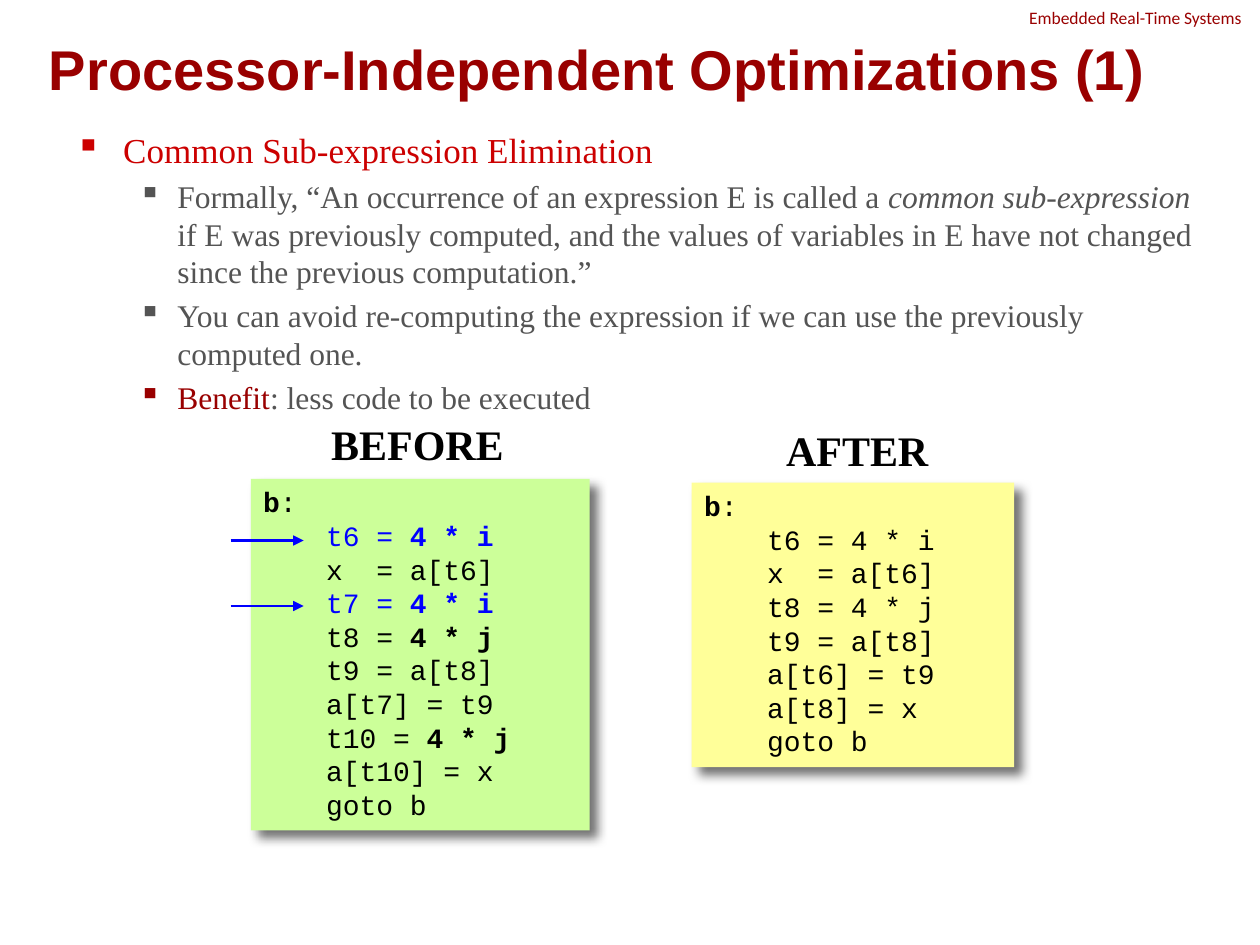
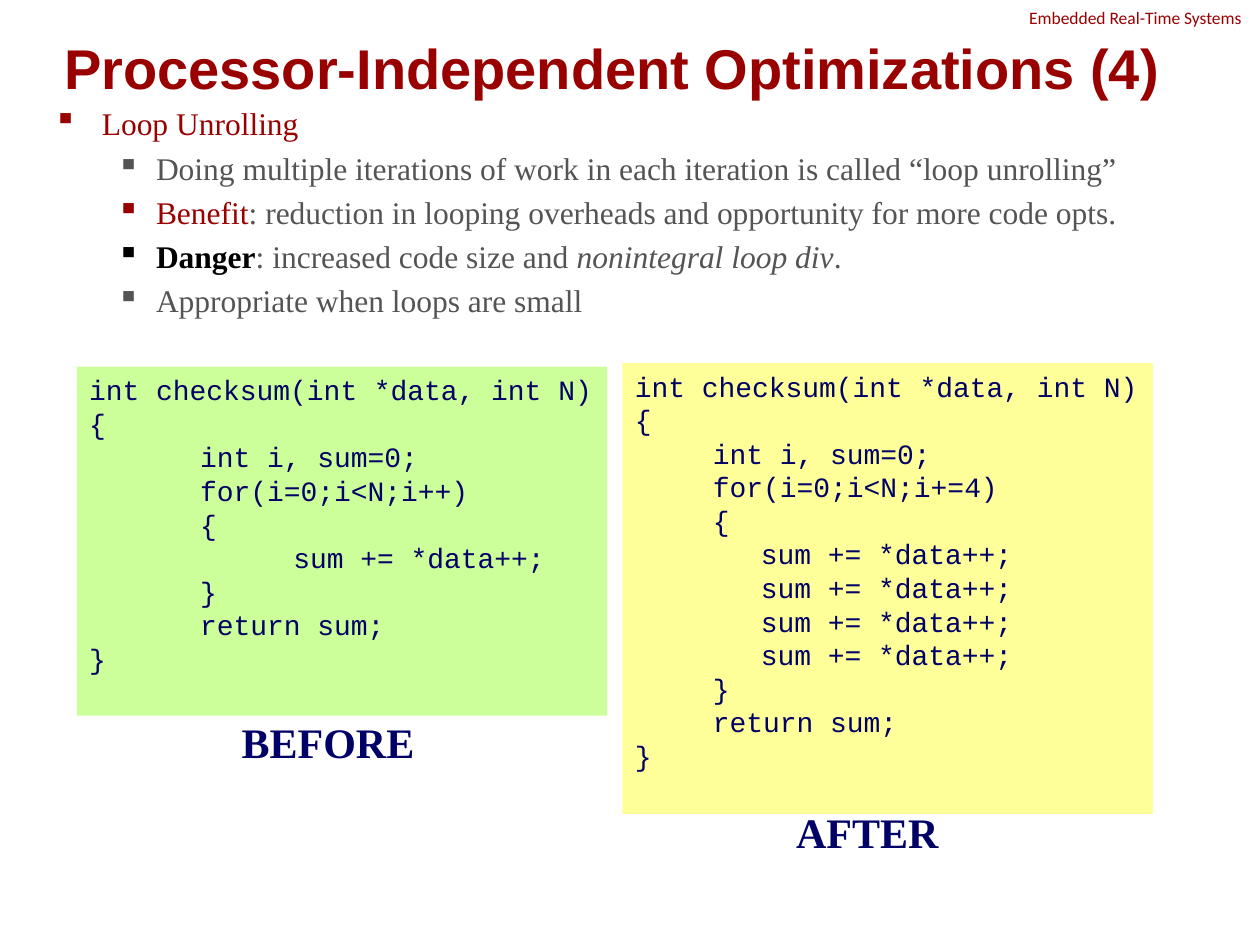
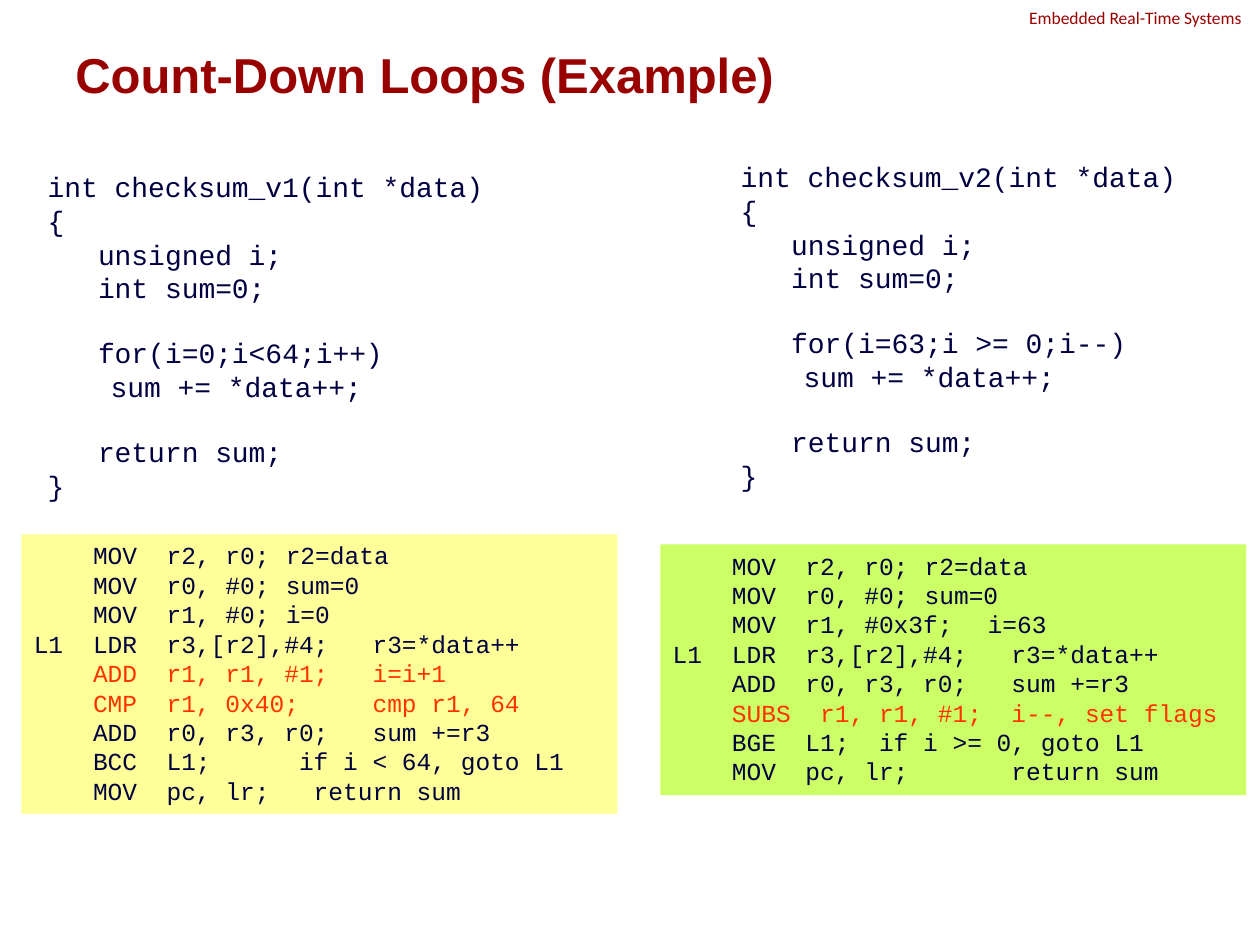
from lxml import etree
from pptx import Presentation, util as u
from pptx.dml.color import RGBColor
from pptx.enum import shapes, text
from pptx.oxml import ns

DARK_RED = RGBColor(0x99, 0x00, 0x00)
RED = RGBColor(0xCC, 0x00, 0x00)
ORANGE = RGBColor(0xFF, 0x33, 0x00)
GRAY = RGBColor(0x54, 0x54, 0x54)
BLACK = RGBColor(0x00, 0x00, 0x00)
BLUE = RGBColor(0x00, 0x00, 0xFF)
NAVY = RGBColor(0x00, 0x00, 0x66)
DARK_NAVY = RGBColor(0x00, 0x00, 0x40)
YELLOW = RGBColor(0xFF, 0xFF, 0x99)
GREEN = RGBColor(0xCC, 0xFF, 0x99)
LIME = RGBColor(0xCC, 0xFF, 0x66)

SERIF = "Times New Roman"
MONO = "Courier New"
MONO_LINE = 1.13


def add_element(parent, tag, **attributes):
    return etree.SubElement(parent, ns.qn(tag), attributes)


def add_text(slide, box, lines, font, size, color, bold=False, fill=None, tabs=()):
    left, top, width, height = [u.Inches(value) for value in box]
    if fill is None:
        shape = slide.shapes.add_textbox(left, top, width, height)
    else:
        shape = slide.shapes.add_shape(shapes.MSO_SHAPE.RECTANGLE, left, top, width, height)
        shape.shadow.inherit = False
        shape.fill.solid()
        shape.fill.fore_color.rgb = fill
        shape.line.fill.background()
    frame = shape.text_frame
    frame.word_wrap = True
    frame.margin_right = 0
    frame.vertical_anchor = text.MSO_ANCHOR.TOP
    paragraph = frame.paragraphs[0]
    blank_before = False
    for number, line in enumerate(lines):
        if not line:
            blank_before = True
            continue
        if number:
            paragraph = frame.add_paragraph()
        paragraph.alignment = text.PP_ALIGN.LEFT
        if blank_before:
            paragraph.space_before = u.Pt(size * MONO_LINE)
            blank_before = False
        if tabs:
            tab_list = add_element(paragraph._p.get_or_add_pPr(), "a:tabLst")
            for stop in tabs:
                add_element(tab_list, "a:tab", pos=str(u.Inches(stop)), algn="l")
        pieces = [(line, {})] if isinstance(line, str) else line
        for words, style in pieces:
            run = paragraph.add_run()
            run.text = words
            run.font.name = font
            run.font.size = u.Pt(style.get("size", size))
            run.font.color.rgb = style.get("color", color)
            run.font.bold = style.get("bold", bold)
            run.font.italic = style.get("italic", False)
    return shape


presentation = Presentation()
presentation.slide_width = u.Inches(10)
presentation.slide_height = u.Inches(7.5)

titles = [
    ("Processor-Independent Optimizations (1)", (0.29, 0.25, 9.92, 0.58), 32),
    ("Processor-Independent Optimizations (4)", (0.41, 0.24, 9.92, 0.58), 32),
    ("Count-Down Loops (Example)", (0.5, 0.3, 9, 0.58), 28),
]
slides = []
for title, box, size in titles:
    slide = presentation.slides.add_slide(presentation.slide_layouts[6])
    add_text(slide, (8.07, 0.01, 2.27, 0.27), ["Embedded Real-Time Systems"], "Calibri", 10, DARK_RED)
    heading = add_text(slide, box, [title], "Arial", size, DARK_RED, bold=True)
    heading.text_frame.vertical_anchor = text.MSO_ANCHOR.MIDDLE
    slides.append(slide)
elimination, unrolling, countdown = slides

bold = {"bold": True}
italic = {"italic": True}
benefit = ("Benefit", {"color": DARK_RED})
bullet_lists = [
    (elimination, (0.5, 0.97, 9, 5.52), [
        [("Common Sub-expression Elimination", {"size": 20, "color": RED})],
        [("Formally, “An occurrence of an expression E is called a ", {}),
         ("common sub-expression", italic),
         (" if E was previously computed, and the values of variables in E have "
          "not changed since the previous computation.”", {})],
        "You can avoid re-computing the expression if we can use the previously computed one.",
        [benefit, (": less code to be executed", {})],
    ]),
    (unrolling, (0.33, 0.75, 9.42, 6.75), [
        [("Loop Unrolling", {"color": DARK_RED}), (" ", {"size": 20})],
        "Doing multiple iterations of work in each iteration is called “loop unrolling”",
        [benefit, (": reduction in looping overheads and opportunity for more code opts.", {})],
        [("Danger", {"color": BLACK, "bold": True}), (": increased code size and ", {}),
         ("nonintegral loop div", italic), (".", {})],
        "Appropriate when loops are small",
    ]),
]
for slide, box, lines in bullet_lists:
    body = add_text(slide, box, lines, SERIF, 18, GRAY)
    for number, paragraph in enumerate(body.text_frame.paragraphs):
        margin, hanging = (0.81, 0.31) if number else (0.38, 0.38)
        paragraph.level = 1 if number else 0
        paragraph.space_before = u.Pt(3.6)
        properties = paragraph._p.get_or_add_pPr()
        properties.set("marL", str(u.Inches(margin)))
        properties.set("indent", str(-u.Inches(hanging)))
        add_element(properties, "a:buChar", char="▪")

blue = {"color": BLUE}
blue_bold = {"color": BLUE, "bold": True}
after_code = ["\tt6 = 4 * i", "\tx  = a[t6]", "\tt8 = 4 * j", "\tt9 = a[t8]",
              "\ta[t6] = t9", "\ta[t8] = x", "\tgoto b"]
before_code = [
    [("\tt6 = ", blue), ("4 * i", blue_bold)],
    "\tx  = a[t6]",
    [("\tt7 = ", blue), ("4 * i", blue_bold)],
    [("\tt8 = ", {}), ("4 * j", bold)],
    "\tt9 = a[t8]",
    "\ta[t7] = t9",
    [("\tt10 = ", {}), ("4 * j", bold)],
    "\ta[t10] = x",
    "\tgoto b",
]
block_label = [("b", bold), (":", {})]
for box, code, fill in [((5.49, 3.83, 2.56, 2.26), after_code, YELLOW),
                        ((1.99, 3.8, 2.69, 2.79), before_code, GREEN)]:
    panel = add_text(elimination, box, [block_label] + code, MONO, 16, BLACK, fill=fill, tabs=[0.5])
    effects = panel._element.spPr.find(ns.qn("a:effectLst"))
    shadow = add_element(effects, "a:outerShdw", blurRad=str(u.Pt(6)), dist=str(u.Pt(6)),
                         dir="2700000", algn="tl", rotWithShape="0")
    shadow_color = add_element(shadow, "a:srgbClr", val="000000")
    add_element(shadow_color, "a:alpha", val="55000")

for y in (4.29, 4.81):
    arrow = elimination.shapes.add_connector(
        shapes.MSO_CONNECTOR.STRAIGHT, u.Inches(1.83), u.Inches(y), u.Inches(2.41), u.Inches(y))
    arrow.line.color.rgb = BLUE
    arrow.line.width = u.Pt(1.5)
    add_element(arrow.line._get_or_add_ln(), "a:tailEnd", type="triangle")
    add_element(arrow._element.spPr, "a:effectLst")

function_start = ["int checksum(int *data, int N)", "{", "\tint i, sum=0;"]
function_end = ["\t}", "\treturn sum;", "}"]
sum_line = "\t\tsum += *data++;"
for box, loop, repeats, fill, tabs in [
    ((0.61, 2.91, 4.21, 2.77), "\tfor(i=0;i<N;i++)", 1, GREEN, [0.88, 1.62]),
    ((4.94, 2.88, 4.21, 3.58), "\tfor(i=0;i<N;i+=4)", 4, YELLOW, [0.62, 1]),
]:
    code = function_start + [loop, "\t{"] + [sum_line] * repeats + function_end
    add_text(unrolling, box, code, MONO, 16, NAVY, fill=fill, tabs=tabs)

for slide, caption, left, top, width, color in [
    (elimination, "BEFORE", 2.53, 3.27, 1.59, BLACK),
    (elimination, "AFTER", 6.14, 3.32, 1.35, BLACK),
    (unrolling, "BEFORE", 1.82, 5.64, 1.59, NAVY),
    (unrolling, "AFTER", 6.22, 6.35, 1.35, NAVY),
]:
    add_text(slide, (left, top, width, 0.51), [caption], SERIF, 24, color, bold=True)

for box, name, loop in [
    ((0.28, 1.3, 4.17, 2.77), "checksum_v1", "for(i=0;i<64;i++)"),
    ((5.78, 1.22, 3.68, 2.77), "checksum_v2", "for(i=63;i >= 0;i--)"),
]:
    code = [f"int {name}(int *data)", "{", "\tunsigned i;", "\tint sum=0;", "",
            f"\t{loop}", sum_line, "", "\treturn sum;", "}"]
    add_text(countdown, box, code, MONO, 16, DARK_NAVY, tabs=[0.4, 0.5])

orange = {"color": ORANGE}
assembly_start = ["\tMOV  r2, r0;\tr2=data", "\tMOV  r0, #0;\tsum=0"]
load_line = "L1\tLDR  r3,[r2],#4;   r3=*data++"
add_line = "\tADD  r0, r3, r0;   sum +=r3"
count_up = assembly_start + [
    "\tMOV  r1, #0;\ti=0",
    load_line,
    [("\tADD  r1, r1, #1;   i=i+1", orange)],
    [("\tCMP  r1, 0x40;     cmp r1, 64", orange)],
    add_line,
    "\tBCC  L1;      if i < 64, goto L1",
    "\tMOV  pc, lr;   return sum",
]
count_down = assembly_start + [
    "\tMOV  r1, #0x3f;\ti=63",
    load_line,
    add_line,
    [("\tSUBS  r1, r1, #1;  i--, set flags", orange)],
    "\tBGE  L1;  if i >= 0, goto L1",
    "\tMOV  pc, lr;       return sum",
]
for box, code, fill in [((0.17, 4.24, 4.73, 2.22), count_up, YELLOW),
                        ((5.24, 4.32, 4.65, 1.99), count_down, LIME)]:
    add_text(countdown, box, code, MONO, 14, DARK_NAVY, fill=fill, tabs=[0.47, 2, 2.5])

presentation.save("out.pptx")
